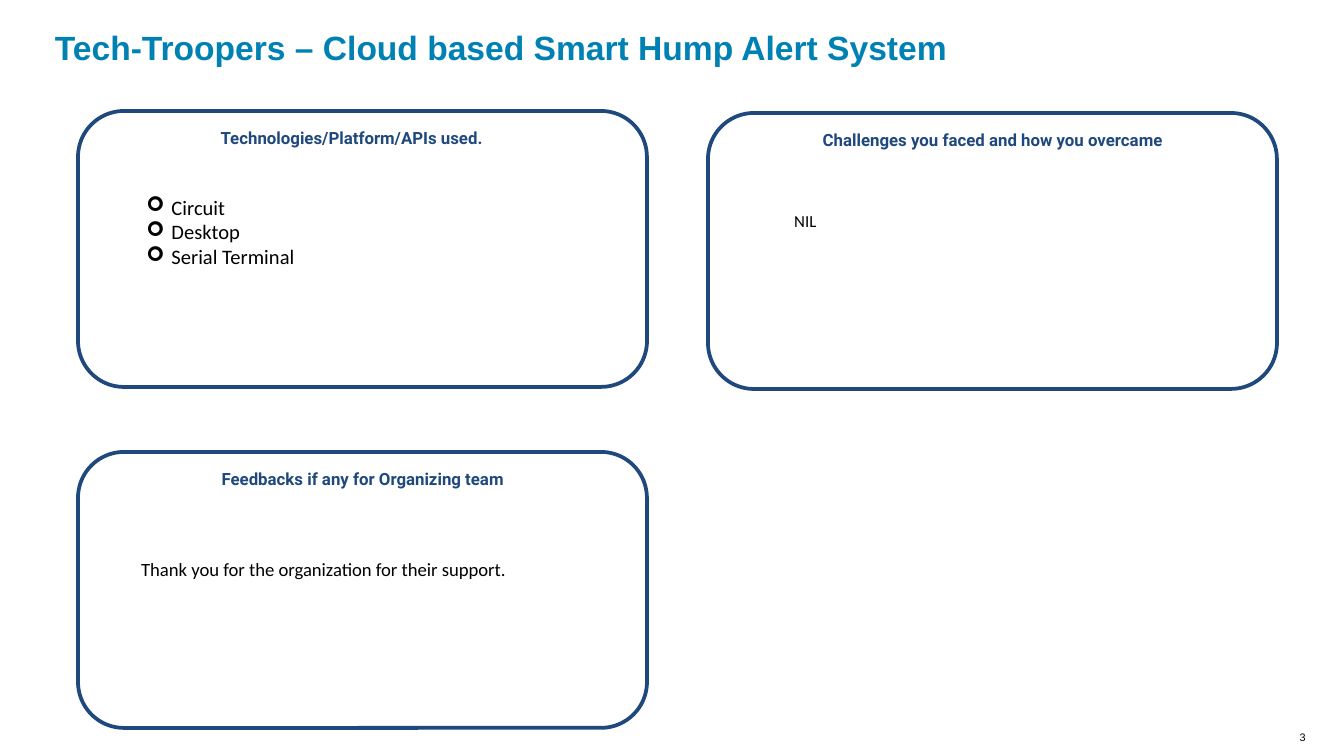
from dataclasses import dataclass

from lxml.etree import SubElement
from pptx import Presentation
from pptx.dml.color import RGBColor
from pptx.enum.shapes import MSO_SHAPE
from pptx.enum.text import MSO_ANCHOR, MSO_AUTO_SIZE, PP_ALIGN
from pptx.oxml.ns import qn
from pptx.util import Emu, Inches, Pt

PX_PER_INCH = 134.4
NAVY, TEAL, BLACK, WHITE = "1F497D", "0081B4", "000000", "FFFFFF"
CARD_W, CARD_H = 569, 276
HEADING_W, HEADING_H, HEADING_DY = 423, 35, 9


@dataclass
class Card:
    left: int
    top: int
    heading: str
    heading_dx: int


@dataclass
class Note:
    left: int
    top: int
    width: int
    height: int
    text: str
    size: float
    font: str = "Calibri"
    align: PP_ALIGN = PP_ALIGN.LEFT
    anchor: MSO_ANCHOR = MSO_ANCHOR.TOP
    wrap: bool = False


CARDS = [
    Card(78, 111, "Technologies/Platform/APIs used.", 62),
    Card(708, 113, "Challenges you faced and how you overcame", 73),
    Card(78, 452, "Feedbacks if any for Organizing team", 73),
]
NOTES = [
    Note(781, 204, 50, 34, "NIL", 9),
    Note(128, 551, 398, 36, "Thank you for the organization for their support.", 10),
    Note(1261, 724, 83, 27, "3", 5.8, "Arial", PP_ALIGN.CENTER, MSO_ANCHOR.MIDDLE, True),
]
TECHNOLOGIES = ["Circuit", "Desktop", "Serial Terminal"]


def px(n: int) -> Emu:
    return Emu(round(n * 914400 / PX_PER_INCH))


def color(value: str) -> RGBColor:
    return RGBColor.from_string(value)


def apply(target, formats: dict) -> None:
    for name, value in formats.items():
        setattr(target, name, value)


def place(sp, left: int, top: int, width: int, height: int) -> None:
    apply(sp, {"left": px(left), "top": px(top), "width": px(width), "height": px(height)})


def write(p, text: str, size: float, font: str, ink: str, bold: bool = False) -> None:
    r = p.add_run()
    r.text = text
    apply(r.font, {"size": Pt(size), "name": font, "bold": bold})
    r.font.color.rgb = color(ink)


def set_bullet(p, char: str, indent: int) -> None:
    pPr = p._p.get_or_add_pPr()
    pPr.set("marL", str(px(indent)))
    pPr.set("indent", str(-px(indent)))
    SubElement(pPr, qn("a:buFont"), typeface="Wingdings")
    SubElement(pPr, qn("a:buChar"), char=char)


def add_round_rect(shapes, left: int, top: int, width: int, height: int):
    sp = shapes.add_shape(MSO_SHAPE.ROUNDED_RECTANGLE, px(left), px(top), px(width), px(height))
    sp.shadow.inherit = False
    return sp


def draw_card(s, card: Card) -> None:
    shapes = s.shapes.add_group_shape().shapes
    frame = add_round_rect(shapes, card.left, card.top, CARD_W, CARD_H)
    frame.fill.solid()
    frame.fill.fore_color.rgb = color(WHITE)
    frame.line.color.rgb = color(NAVY)
    frame.line.width = Pt(2)

    heading = add_round_rect(shapes, card.left + card.heading_dx, card.top + HEADING_DY,
                             HEADING_W, HEADING_H)
    heading.fill.background()
    heading.line.fill.background()
    tf = heading.text_frame
    apply(tf, {"vertical_anchor": MSO_ANCHOR.MIDDLE, "word_wrap": True,
               "margin_top": Inches(0.07), "margin_bottom": Inches(0.07)})
    p = tf.paragraphs[0]
    p.alignment = PP_ALIGN.CENTER
    write(p, card.heading, 9, "Roboto", NAVY, True)


def draw_note(s, note: Note) -> None:
    sp = s.shapes.add_textbox(px(note.left), px(note.top), px(note.width), px(note.height))
    tf = sp.text_frame
    apply(tf, {"word_wrap": note.wrap, "vertical_anchor": note.anchor,
               "auto_size": MSO_AUTO_SIZE.SHAPE_TO_FIT_TEXT})
    p = tf.paragraphs[0]
    p.alignment = note.align
    write(p, note.text, note.size, note.font, BLACK)


def fill_title(title, text: str) -> None:
    place(title, 55, 27, 1239, 59)
    tf = title.text_frame
    apply(tf, {"margin_left": 0, "margin_top": 0, "margin_right": 0, "margin_bottom": 0,
               "vertical_anchor": MSO_ANCHOR.TOP, "word_wrap": True,
               "auto_size": MSO_AUTO_SIZE.NONE})
    p = tf.paragraphs[0]
    p.alignment = PP_ALIGN.LEFT
    write(p, text, 18, "Arial", TEAL, True)


def fill_list(body, items: list[str]) -> None:
    place(body, 133, 188, 179, 89)
    tf = body.text_frame
    apply(tf, {"word_wrap": False, "auto_size": MSO_AUTO_SIZE.SHAPE_TO_FIT_TEXT})
    for i, item in enumerate(items):
        p = tf.add_paragraph() if i else tf.paragraphs[0]
        p.space_before = Pt(0)
        set_bullet(p, "➢", 25)
        write(p, item, 11, "Calibri", BLACK)


def main() -> None:
    prs = Presentation()
    apply(prs, {"slide_width": px(1344), "slide_height": px(756)})
    s = prs.slides.add_slide(prs.slide_layouts[1])
    title, body = s.placeholders
    fill_title(title, "Tech-Troopers – Cloud based Smart Hump Alert System")
    for card in CARDS:
        draw_card(s, card)
    fill_list(body, TECHNOLOGIES)
    # The list belongs in front of the filled cards.
    body.element.getparent().append(body.element)
    for note in NOTES:
        draw_note(s, note)
    prs.save("out.pptx")


if __name__ == "__main__":
    main()
